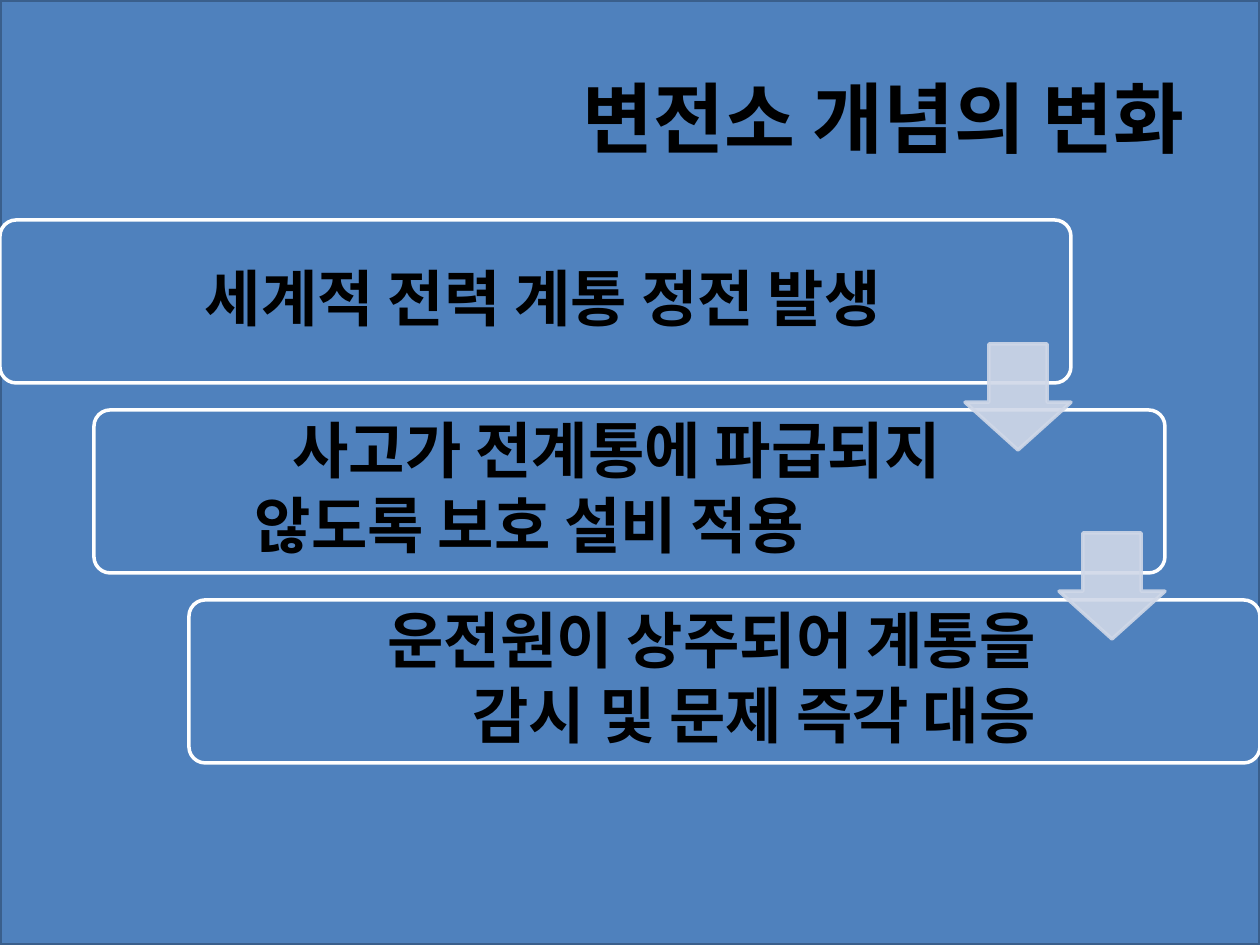
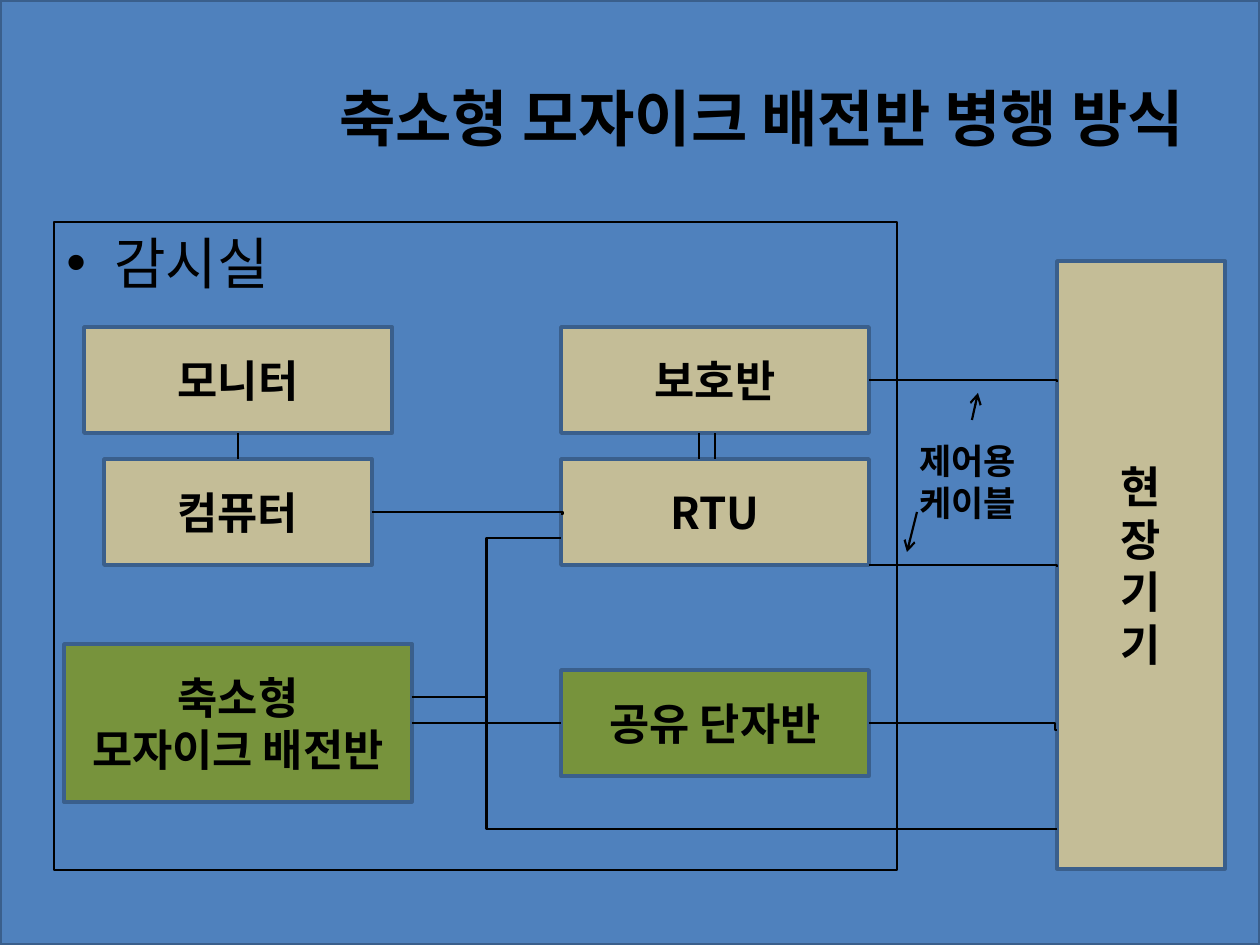
from lxml import etree
from pptx import Presentation
from pptx import util as u
from pptx.dml.color import RGBColor
from pptx.enum import shapes, text
from pptx.oxml import ns

PX = 914400 // 126
FONT = "Noto Sans CJK KR"
BLUE = RGBColor(0x4F, 0x81, 0xBD)
NAVY = RGBColor(0x3A, 0x5F, 0x8C)
PALE = RGBColor(0xD0, 0xD8, 0xE8)
SAND = RGBColor(0xC4, 0xBD, 0x97)
GREEN = RGBColor(0x77, 0x93, 0x3C)
WHITE = RGBColor(0xFF, 0xFF, 0xFF)
BLACK = RGBColor(0, 0, 0)
KIND = shapes.MSO_SHAPE
LINK = shapes.MSO_CONNECTOR
LEFT, MID, RIGHT = text.PP_ALIGN.LEFT, text.PP_ALIGN.CENTER, text.PP_ALIGN.RIGHT
TOP, CORE = text.MSO_ANCHOR.TOP, text.MSO_ANCHOR.MIDDLE


def emu(*nums):
    """Turn px into EMU."""
    return [n * PX for n in nums]


def child(node, tag, **attrs):
    """Append an element in the drawing namespace."""
    return etree.SubElement(node, ns.qn("a:" + tag), attrs)


def write(shape, lines, size, aligns=(MID,), anchor=CORE, bold=True):
    """Fill a shape with styled paragraphs; the last alignment carries on."""
    frame = shape.text_frame
    frame.text = "\n".join(lines)
    frame.word_wrap = True
    frame.vertical_anchor = anchor
    for i, para in enumerate(frame.paragraphs):
        para.alignment = aligns[min(i, len(aligns) - 1)]
        for run in para.runs:
            font = run.font
            font.name, font.size, font.bold = FONT, u.Pt(size), bold
            font.color.rgb = BLACK
            child(font._element, "ea", typeface=FONT)
    return frame


def shape(slide, kind, box, fill, line, width=2):
    """Add a preset shape without a shadow."""
    item = slide.shapes.add_shape(kind, *emu(*box))
    item.shadow.inherit = False
    if fill is None:
        item.fill.background()
    else:
        item.fill.solid()
        item.fill.fore_color.rgb = fill
    item.line.color.rgb = line
    item.line.width = u.Pt(width)
    return item


def label(slide, box, lines, size, aligns, anchor=CORE):
    """Add a text box."""
    return write(slide.shapes.add_textbox(*emu(*box)), lines, size, aligns, anchor)


def node(slide, box, lines, fill=SAND):
    """Add a labelled block of the diagram."""
    item = shape(slide, KIND.RECTANGLE, box, fill, NAVY)
    write(item, lines, 25)
    return item


def wire(slide, ends, bend=None, width=1.5, head=False):
    """Add a straight or bent line, with an arrowhead if asked."""
    kind = LINK.STRAIGHT if bend is None else LINK.ELBOW
    item = slide.shapes.add_connector(kind, *emu(*ends))
    item.line.color.rgb = BLACK
    item.line.width = u.Pt(width)
    props = item._element.spPr
    if head:
        child(props.find(ns.qn("a:ln")), "tailEnd", type="arrow")
    if bend is not None:
        guides = props.find(ns.qn("a:prstGeom")).get_or_add_avLst()
        child(guides, "gd", name="adj1", fmla=f"val {round(bend * 100000)}")
    child(props, "effectLst")
    return item


def join(slide, a, side, b, other):
    """Tie the sides of two blocks with a straight line."""
    item = wire(slide, (0, 0, 1, 1))
    item.begin_connect(a, side)
    item.end_connect(b, other)


def start(deck, title, size):
    """Add a slide with the blue ground and its title."""
    slide = deck.slides.add_slide(deck.slide_layouts[6])
    shape(slide, KIND.RECTANGLE, (0, 0, 1260, 945), BLUE, NAVY)
    label(slide, (63, 38, 1134, 158), [title], size, (RIGHT,))
    return slide


def step(slide, i, lines, width, aligns):
    """Add one box of the cascade."""
    x, y = i * 189 // 2, 220 + i * 190
    card = shape(slide, KIND.ROUNDED_RECTANGLE, (x, y, 1071, 163), BLUE, WHITE)
    card.adjustments[0] = 0.1
    frame = label(slide, (x + 5, y + 5, width, 153), lines, 35, aligns)
    frame.margin_left = frame.margin_right = 19 * PX
    frame.margin_top = frame.margin_bottom = 19 * PX
    for para in frame.paragraphs:
        para.line_spacing = 0.9
        para.space_after = u.Pt(5)


def drop(slide, i):
    """Add the see-through arrow to the next box."""
    box = (965 + i * 189 // 2, 344 + i * 189, 106, 106)
    item = shape(slide, KIND.DOWN_ARROW, box, PALE, PALE)
    item.adjustments[0], item.adjustments[1] = 0.55, 0.45
    for tint in item._element.spPr.iter(ns.qn("a:srgbClr")):
        child(tint, "alpha", val="90000")


def change(deck):
    """Build the slide on how the concept changed."""
    slide = start(deck, "변전소 개념의 변화", 44)
    steps = [
        (["세계적 전력 계통 정전 발생"], 895, (RIGHT,)),
        (["사고가 전계통에 파급되지", "않도록 보호 설비 적용"], 861, (RIGHT, MID)),
        (["운전원이 상주되어 계통을", "감시 및 문제 즉각 대응"], 861, (RIGHT,)),
    ]
    for i, (lines, width, aligns) in enumerate(steps):
        step(slide, i, lines, width, aligns)
    for i in range(len(steps) - 1):
        drop(slide, i)


def room(slide):
    """Add the outlined control room with its bullet."""
    item = shape(slide, KIND.RECTANGLE, (54, 222, 843, 648), None, BLACK, 0.75)
    item.text_frame.text = ""
    frame = write(item, ["감시실"], 32, (LEFT,), TOP, False)
    props = frame.paragraphs[0]._p.get_or_add_pPr()
    props.set("marL", str(48 * PX))
    props.set("indent", str(-48 * PX))
    child(props, "buFont", typeface="Arial")
    child(props, "buChar", char="•")


def panel(deck):
    """Build the slide with the wiring diagram."""
    slide = start(deck, "축소형 모자이크 배전반 병행 방식", 35)
    room(slide)
    screen = node(slide, (84, 327, 308, 106), ["모니터"])
    host = node(slide, (104, 459, 268, 106), ["컴퓨터"])
    guard = node(slide, (561, 327, 308, 106), ["보호반"])
    rtu = node(slide, (561, 459, 308, 106), ["RTU"])
    node(slide, (1057, 261, 168, 608), list("현장기기"))
    label(slide, (907, 433, 129, 97), ["제어용 케이블"], 20, (LEFT,), TOP)
    board = node(slide, (64, 644, 348, 158), ["축소형", "모자이크 배전반"], GREEN)
    hub = node(slide, (561, 670, 308, 106), ["공유 단자반"], GREEN)
    join(slide, screen, 2, host, 0)
    join(slide, rtu, 0, guard, 2)
    join(slide, board, 3, hub, 1)
    wire(slide, (699, 433, 699, 459))
    for *ends, bend in [
        (372, 512, 561, 514, 1.01),
        (869, 380, 1057, 382, 1),
        (869, 565, 1057, 567, 1),
        (869, 723, 1057, 730, 0.99),
        (412, 697, 561, 538, 0.5),
        (412, 697, 1057, 829, 0.116),
    ]:
        wire(slide, ends, bend)
    for ends in [(972, 420, 978, 393), (917, 512, 907, 552)]:
        wire(slide, ends, width=1.25, head=True)


def main():
    """Build and save the deck."""
    deck = Presentation()
    deck.slide_width, deck.slide_height = u.Inches(10), u.Inches(7.5)
    change(deck)
    panel(deck)
    deck.save("out.pptx")


if __name__ == "__main__":
    main()
